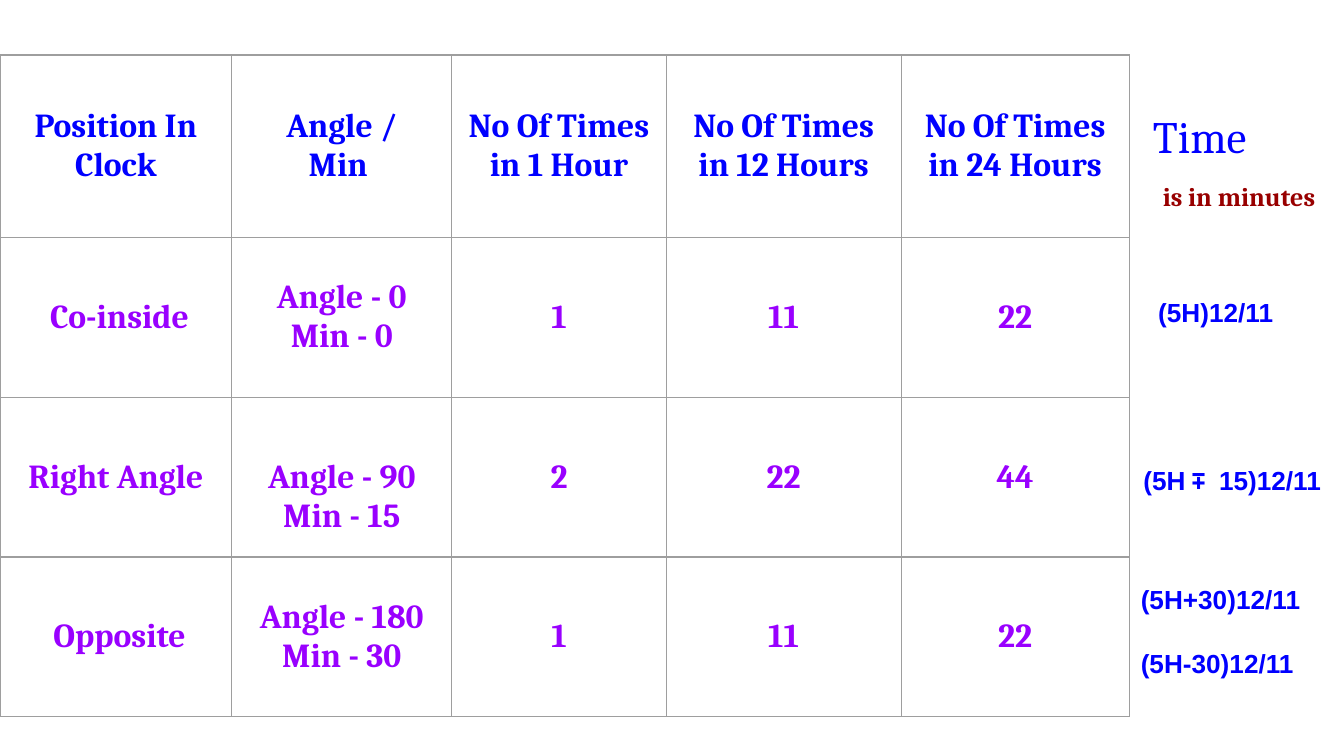
from dataclasses import dataclass

import pptx
import pptx.dml.color
import pptx.enum.text
import pptx.oxml
import pptx.oxml.ns
import pptx.util

Cm = pptx.util.Cm
Pt = pptx.util.Pt
BLUE, VIOLET, RED, GREY = "0000FF", "9900FF", "980000", "9E9E9E"
PAD = Cm(0.25)
LINE = Cm(0.74)
COLS = [4.38, 4.16, 4.05, 4.44, 4.31]
ROWS = [3.45, 3.02, 3.02, 3.02]
CELLS = [
    ["Position In Clock", "Angle /\nMin ", "No Of Times in 1 Hour",
     "No Of Times in 12 Hours", "No Of Times in 24 Hours"],
    [" Co-inside", "Angle - 0\nMin - 0", "1", "11", "22"],
    ["Right Angle", "Angle - 90\nMin - 15", "2", "22", "44"],
    [" Opposite", "Angle - 180\nMin - 30", "1", "11", "22"],
]


@dataclass
class Note:
    text: str
    left: float
    top: float
    wide: float
    high: float


NOTES = [
    Note("(5H)12/11", 21.64, 5.36, 2.82, 1.4),
    Note("(5H∓ 15)12/11", 21.36, 8.53, 3.91, 1.75),
    Note("(5H+30)12/11", 21.31, 10.77, 3.91, 1.22),
    Note("(5H-30)12/11", 21.31, 11.99, 3.91, 1.22),
]
HEAD = Note("Time\n ", 21.54, 1.8, 3.91, 2.29)


def style(font, size: float, face: str, color: str, bold: bool) -> None:
    font.size = Pt(size)
    font.name = face
    font.bold = bold
    font.color.rgb = pptx.dml.color.RGBColor.from_string(color)


def pad(item) -> None:
    item.margin_left = item.margin_right = PAD
    item.margin_top = item.margin_bottom = PAD


def edge(cell) -> None:
    props = cell._tc.get_or_add_tcPr()
    space = pptx.oxml.ns.nsdecls("a")
    for place, side in enumerate("LRTB"):
        props.insert(place, pptx.oxml.parse_xml(
            f'<a:ln{side} {space} w="9525"><a:solidFill>'
            f'<a:srgbClr val="{GREY}"/></a:solidFill></a:ln{side}>'))


def fill(cell, text: str, color: str) -> None:
    cell.text = text
    cell.vertical_anchor = pptx.enum.text.MSO_ANCHOR.MIDDLE
    pad(cell)
    cell.fill.background()
    edge(cell)
    for para in cell.text_frame.paragraphs:
        para.alignment = pptx.enum.text.PP_ALIGN.CENTER
        style(para.font, 18, "Cambria", color, True)


def grid(slide) -> None:
    frame = slide.shapes.add_table(
        len(ROWS), len(COLS), 0, Cm(1.04), Cm(sum(COLS)), Cm(sum(ROWS)))
    table = frame.table
    table.first_row = table.horz_banding = False
    for col, wide in zip(table.columns, COLS):
        col.width = Cm(wide)
    for row, high, texts in zip(table.rows, ROWS, CELLS):
        row.height = Cm(high)
        color = BLUE if texts is CELLS[0] else VIOLET
        for cell, text in zip(row.cells, texts):
            fill(cell, text, color)
    table.cell(2, 1).margin_top = PAD + LINE


def write(slide, note: Note):
    box = slide.shapes.add_textbox(
        Cm(note.left), Cm(note.top), Cm(note.wide), Cm(note.high))
    frame = box.text_frame
    frame.word_wrap = True
    pad(frame)
    frame.text = note.text
    return frame.paragraphs


def main() -> None:
    deck = pptx.Presentation()
    deck.slide_width, deck.slide_height = Cm(25.4), Cm(14.29)
    slide = deck.slides.add_slide(deck.slide_layouts[6])
    grid(slide)
    for note in NOTES:
        style(write(slide, note)[0].font, 14, "Arial", BLUE, True)
    time, unit = write(slide, HEAD)
    style(time.font, 24, "Cambria", BLUE, False)
    style(unit.font, 24, "Cambria", RED, False)
    run = unit.add_run()
    run.text = "is in minutes"
    style(run.font, 14, "Cambria", RED, True)
    deck.save("out.pptx")


if __name__ == "__main__":
    main()
